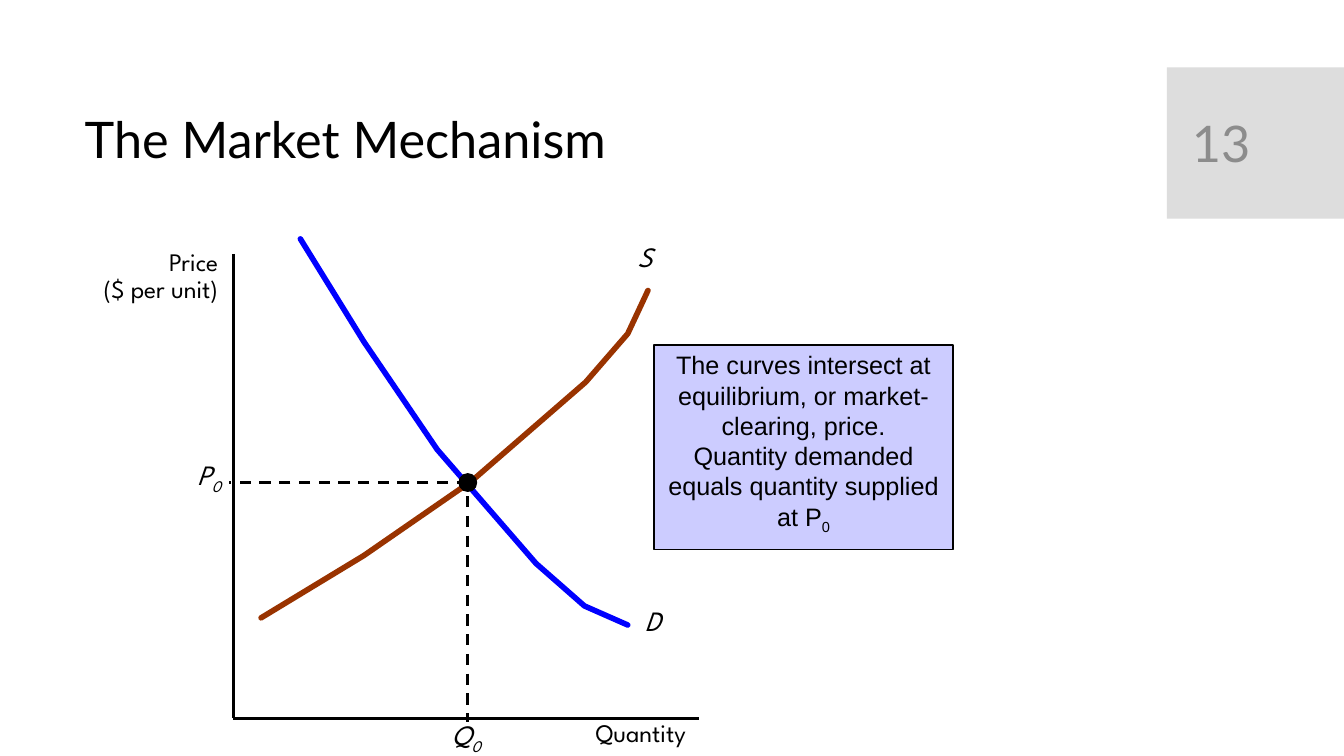
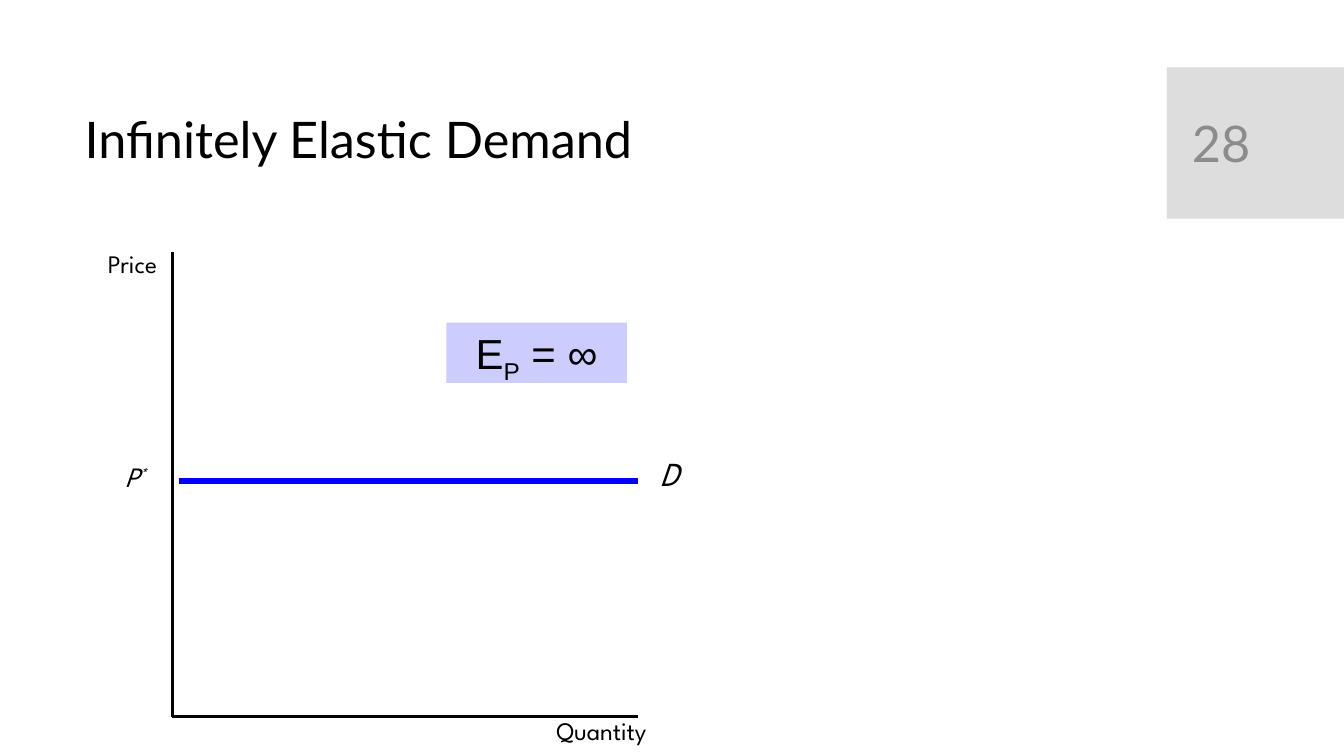
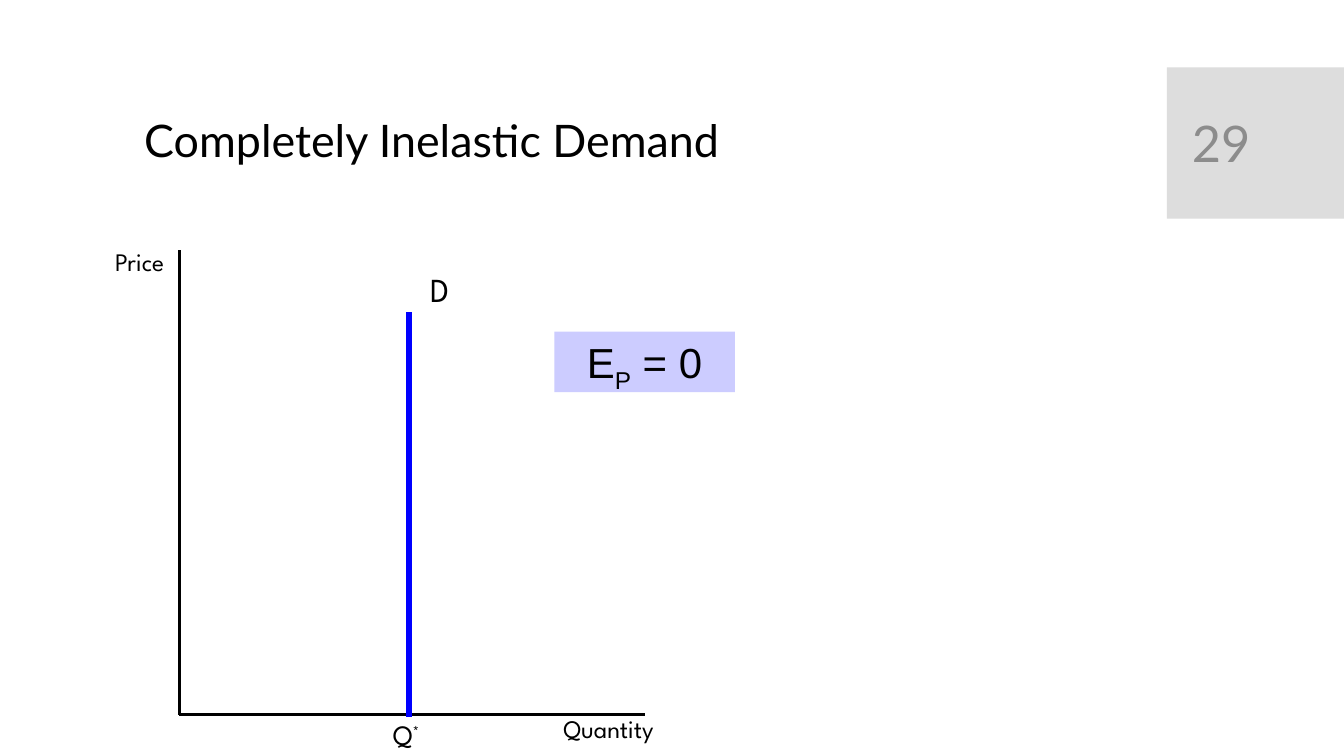
from pptx import Presentation
from pptx.dml.color import RGBColor
from pptx.enum.dml import MSO_LINE
from pptx.enum.shapes import MSO_CONNECTOR, MSO_SHAPE
from pptx.enum.text import MSO_ANCHOR as ANCHOR, MSO_AUTO_SIZE, PP_ALIGN as ALIGN
from pptx.oxml.ns import qn
from pptx.util import Cm, Pt
from lxml.etree import SubElement

COLORS = {
    "ink": "000000",
    "number": "8C8C8C",
    "band": "DDDDDD",
    "note": "CCCCFF",
    "demand": "0000FF",
    "supply": "993300",
}
COLOR = {name: RGBColor.from_string(value) for name, value in COLORS.items()}
TITLE_FONT, LABEL_FONT, NOTE_FONT = "Lato", "League Spartan", "Arial"
AXIS_WIDTH, AXIS_HEIGHT = 11.73, 11.7


def write(box, text, size=18, font=LABEL_FONT, color="ink", align=ALIGN.LEFT,
          anchor=ANCHOR.TOP, italic=False, spacing=None, shift=-25):
    """Newlines separate paragraphs; bars switch raised or lowered text on and off."""
    frame = box.text_frame
    frame.auto_size = MSO_AUTO_SIZE.NONE
    frame.word_wrap = True
    frame.vertical_anchor = anchor
    for index, line in enumerate(text.split("\n")):
        para = frame.add_paragraph() if index else frame.paragraphs[0]
        para.alignment = align
        if spacing:
            para.line_spacing = spacing
        for part, piece in enumerate(line.split("|")):
            span = para.add_run()
            span.text = piece
            span.font.size = Pt(size)
            span.font.name = font
            span.font.italic = italic
            span.font.color.rgb = COLOR[color]
            if part % 2:
                span._r.get_or_add_rPr().set("baseline", str(shift * 1000))


def draw_line(page, start, end, color="ink", weight=2, dash=None):
    line = page.shapes.add_connector(
        MSO_CONNECTOR.STRAIGHT, *map(Cm, start), *map(Cm, end))
    line.line.color.rgb = COLOR[color]
    line.line.width = Pt(weight)
    line.line.dash_style = dash
    SubElement(line.element.spPr, qn("a:effectLst"))


deck = Presentation()
deck.slide_width, deck.slide_height = Cm(33.87), Cm(19.05)
layout = deck.slide_layouts[5]
pages = [deck.slides.add_slide(layout) for _ in range(3)]
market, elastic, inelastic = pages

band = market.shapes.add_shape(
    MSO_SHAPE.RECTANGLE, Cm(29.41), Cm(1.7), Cm(4.46), Cm(3.81))
band.shadow.inherit = False
band.fill.solid()
band.fill.fore_color.rgb = COLOR["band"]
band.line.fill.background()
band.element.nvSpPr.cNvPr.set("id", "20")
layout.shapes.element.append(band.element)

wide_title = (1.88, 2.08, 26.7, 3)
low_title = (3.38, 2.82, 20.32, 1.55)
frames = [
    ("13", "The Market Mechanism", wide_title, 36, (5.88, 18.1), "Price\n($ per unit)", 0.9, 8.88),
    ("28", "Infinitely Elastic Demand", wide_title, 36, (4.34, 18.06), "Price", None, 9.43),
    ("29", "Completely Inelastic Demand", low_title, 32, (4.52, 18.01), "Price", None, 9.43),
]
for page, (number, heading, place, size, origin, price, spacing, offset) in zip(pages, frames):
    title = page.shapes.title
    title.left, title.top, title.width, title.height = map(Cm, place)
    write(title, heading, size=size, font=TITLE_FONT, anchor=ANCHOR.MIDDLE, spacing=0.9)
    box = page.shapes.add_textbox(Cm(29.79), Cm(2.08), Cm(3.2), Cm(3.02))
    write(box, number, size=36, font=TITLE_FONT, color="number", anchor=ANCHOR.MIDDLE)

    left, base = origin
    top = base - AXIS_HEIGHT
    draw_line(page, (left, top), origin)
    draw_line(page, origin, (left + AXIS_WIDTH, base))
    box = page.shapes.add_textbox(Cm(left - 3.99), Cm(top - 0.23), Cm(3.86), Cm(1.6))
    write(box, price, align=ALIGN.RIGHT, spacing=spacing)
    box = page.shapes.add_textbox(Cm(left + offset), Cm(base - 0.15), Cm(3.4), Cm(1))
    write(box, "Quantity")

curves = {
    "demand": [(7.57, 6.02), (9.17, 8.61), (11.02, 11.33),
               (13.51, 14.2), (14.73, 15.27), (15.82, 15.75)],
    "supply": [(6.58, 15.57), (9.17, 14), (11.89, 12.12),
               (14.76, 9.63), (15.82, 8.41), (16.33, 7.32)],
}
for color, points in curves.items():
    start, *rest = [(Cm(x), Cm(y)) for x, y in points]
    builder = market.shapes.build_freeform(*start)
    builder.add_line_segments(rest, close=False)
    curve = builder.convert_to_shape()
    curve.shadow.inherit = False
    curve.fill.background()
    curve.line.color.rgb = COLOR[color]
    curve.line.width = Pt(4)
    outline = curve.element.spPr.get_or_add_ln()
    outline.set("cap", "rnd")
    SubElement(outline, qn("a:round"))

balance_x, balance_y = 11.79, 12.16
draw_line(market, (balance_x, balance_y), (5.77, balance_y), dash=MSO_LINE.DASH)
draw_line(market, (balance_x, 12.5), (balance_x, 18.19), dash=MSO_LINE.DASH)
dot = market.shapes.add_shape(
    MSO_SHAPE.OVAL, Cm(balance_x - 0.22), Cm(balance_y - 0.22), Cm(0.44), Cm(0.44))
dot.shadow.inherit = False
dot.fill.solid()
dot.fill.fore_color.rgb = COLOR["ink"]
dot.line.color.rgb = COLOR["ink"]
dot.line.width = Pt(1)

draw_line(elastic, (4.5, 12.12), (16.08, 12.12), color="demand", weight=4)
draw_line(inelastic, (10.31, 7.87), (10.31, 18.08), color="demand", weight=4)

labels = [
    (market, "D", 16, 15.09, 20, True),
    (market, "S", 15.82, 5.92, 20, True),
    (market, "P|0", 4.72, 11.4, 20, True),
    (market, "Q|0", 11.13, 17.96, 20, True),
    (elastic, "D", 16.38, 11.28, 24, True),
    (elastic, "P|*", 2.9, 11.46, 20, True),
    (inelastic, "D", 10.59, 6.65, 24, False),
    (inelastic, "Q|*", 9.65, 17.96, 20, False),
]
for page, text, left, top, size, italic in labels:
    box = page.shapes.add_textbox(Cm(left), Cm(top), Cm(1.5), Cm(1.09))
    write(box, text, size=size, italic=italic, shift=30 if "*" in text else -25)

explanation = (
    "The curves intersect at\nequilibrium, or market-\nclearing, price.\n"
    "Quantity demanded equals quantity supplied at P|0"
)
notes = [
    (market, explanation, (16.48, 8.69, 7.54, 5.16), 18, True),
    (elastic, "E|P| = ∞", (11.25, 8.13, 4.55, 1.52), 30, False),
    (inelastic, "E|P| = 0", (13.97, 8.36, 4.55, 1.52), 30, False),
]
for page, text, place, size, outlined in notes:
    box = page.shapes.add_shape(MSO_SHAPE.RECTANGLE, *map(Cm, place))
    box.shadow.inherit = False
    box.fill.solid()
    box.fill.fore_color.rgb = COLOR["note"]
    if outlined:
        box.line.color.rgb = COLOR["ink"]
        box.line.width = Pt(1)
    else:
        box.line.fill.background()
    write(box, text, size=size, font=NOTE_FONT, align=ALIGN.CENTER)

deck.save("out.pptx")
